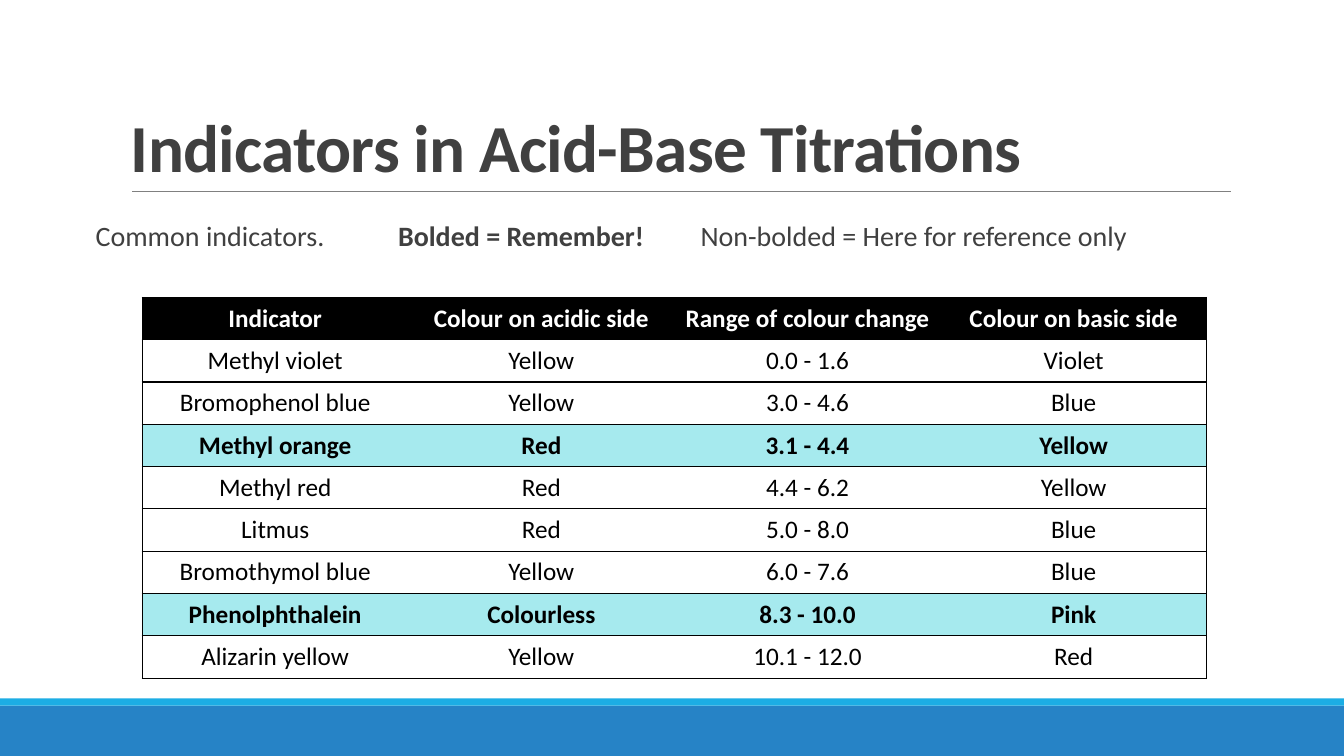
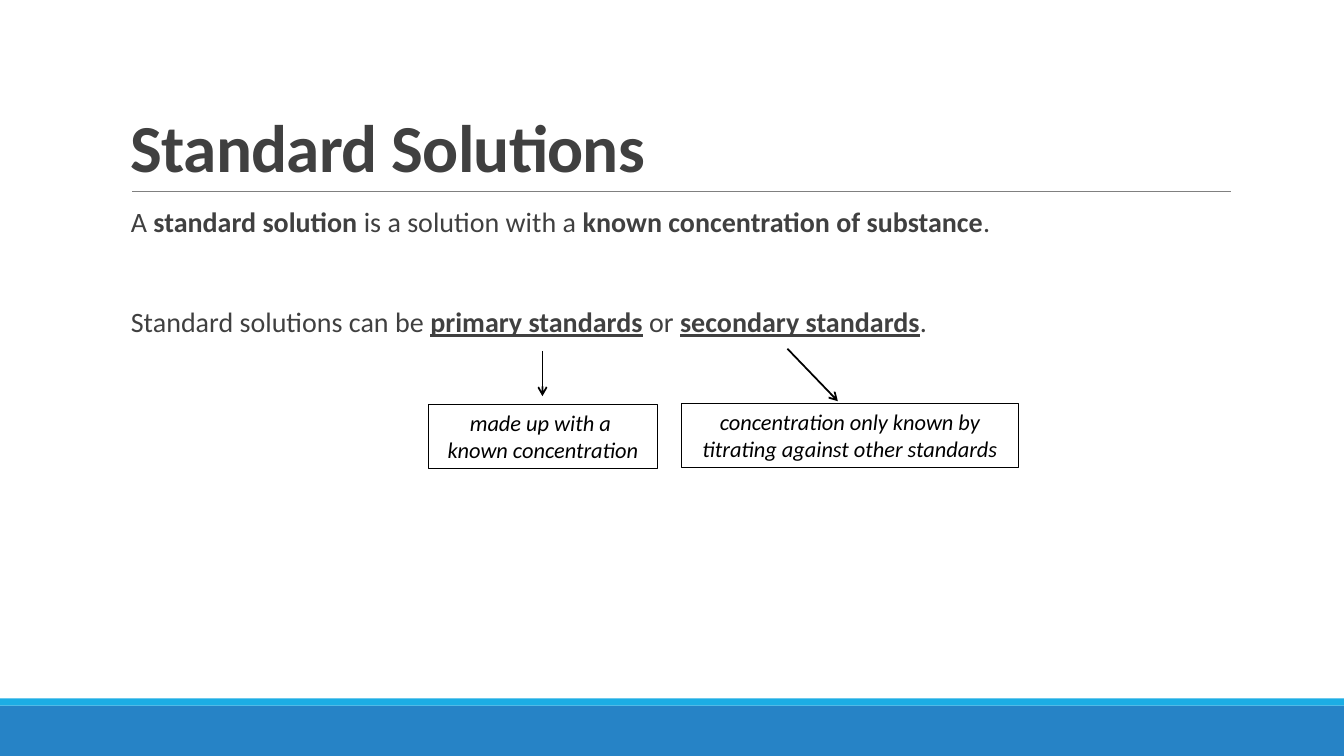
"""Builds two chemistry slides on indicators and standard solutions."""
from lxml import etree
from pptx import Presentation
from pptx.dml.color import RGBColor
from pptx.enum.shapes import MSO_CONNECTOR, MSO_SHAPE
from pptx.enum.text import MSO_ANCHOR, MSO_AUTO_SIZE, PP_ALIGN
from pptx.oxml.ns import qn
from pptx.util import Inches, Pt

RECT = MSO_SHAPE.RECTANGLE
LINE = MSO_CONNECTOR.STRAIGHT
LEFT, CENTER = PP_ALIGN.LEFT, PP_ALIGN.CENTER
TOP, MIDDLE, BOTTOM = MSO_ANCHOR.TOP, MSO_ANCHOR.MIDDLE, MSO_ANCHOR.BOTTOM
GROW = MSO_AUTO_SIZE.SHAPE_TO_FIT_TEXT

FONT = "Calibri"
COLORS = {
    "band": "2683C6",
    "strip": "1CADE4",
    "rule": "808080",
    "text": "404040",
    "black": "000000",
    "white": "FFFFFF",
    "key": "A6EAEE",
}


def rgb(name):
    return RGBColor.from_string(COLORS[name])


def write(par, text, size=20, color="text", bold=False, italic=False,
          under=False, align=LEFT, space=None, track=None):
    par.alignment = align
    if space:
        par.line_spacing = space
    for num, part in enumerate(text.split("\n")):
        if num:
            par.add_line_break()
        run = par.add_run()
        run.text = part
        font = run.font
        font.name, font.size = FONT, Pt(size)
        font.bold, font.italic = bold, italic
        if under:
            font.underline = True
        font.color.rgb = rgb(color)
        if track:
            font._element.set("spc", str(track))


class Deck:
    """Holds the style and the current slide."""

    def __init__(self):
        self.prs = Presentation()
        self.prs.slide_width = Inches(13.33)
        self.prs.slide_height = Inches(7.5)

    def page(self, title):
        self.slide = self.prs.slides.add_slide(self.prs.slide_layouts[6])
        self.rect(0, 7, 13.33, 0.5, fill="band")
        self.rect(0, 6.93, 13.33, 0.07, fill="strip")
        self.line(1.31, 1.9, 12.21, 1.9, "rule", 0.5)
        frame = self.text(1.2, 0.31, 11, 1.59, anchor=BOTTOM)
        write(frame.paragraphs[0], title, size=48, bold=True, space=0.85,
              track=-50)

    def rect(self, x, y, w, h, fill=None, line=None):
        box = self.slide.shapes.add_shape(
            RECT, Inches(x), Inches(y), Inches(w), Inches(h))
        box.shadow.inherit = False
        if fill:
            box.fill.solid()
            box.fill.fore_color.rgb = rgb(fill)
        else:
            box.fill.background()
        if line:
            box.line.color.rgb = rgb(line)
            box.line.width = Pt(0.75)
        else:
            box.line.fill.background()
        return box

    def line(self, x1, y1, x2, y2, color, width, arrow=False):
        link = self.slide.shapes.add_connector(
            LINE, Inches(x1), Inches(y1), Inches(x2), Inches(y2))
        link.line.color.rgb = rgb(color)
        link.line.width = Pt(width)
        props = link._element.spPr
        if arrow:
            etree.SubElement(props.find(qn("a:ln")), qn("a:tailEnd"),
                             type="arrow")
        etree.SubElement(props, qn("a:effectLst"))

    def text(self, x, y, w, h, anchor=TOP):
        box = self.slide.shapes.add_textbox(
            Inches(x), Inches(y), Inches(w), Inches(h))
        frame = box.text_frame
        frame.word_wrap = True
        frame.vertical_anchor = anchor
        return frame

    def body(self, x, y, pars, gap=0, tabs=()):
        frame = self.text(x, y, 11, 4.4)
        frame.margin_right = 0
        for num, runs in enumerate(pars):
            par = frame.add_paragraph() if num else frame.paragraphs[0]
            if num:
                par.space_before = Pt(gap)
            for text, style in runs:
                write(par, text, space=0.9, **style)
            if tabs:
                stops = etree.SubElement(
                    par._p.get_or_add_pPr(), qn("a:tabLst"))
                for pos in tabs:
                    etree.SubElement(stops, qn("a:tab"),
                                     pos=str(Inches(pos)), algn="l")

    def note(self, x, y, w, text):
        box = self.rect(x, y, w, 0.64, line="black")
        frame = box.text_frame
        frame.word_wrap = True
        frame.auto_size = GROW
        write(frame.paragraphs[0], text, size=16, color="black", italic=True,
              align=CENTER)

    def edge(self, cell, sides):
        props = cell._tc.get_or_add_tcPr()
        for num, side in enumerate("LRTB"):
            ln = etree.Element(qn("a:ln" + side), w=str(Pt(1)))
            if side in sides:
                fill = etree.SubElement(ln, qn("a:solidFill"))
                etree.SubElement(fill, qn("a:srgbClr"), val=COLORS["black"])
            else:
                etree.SubElement(ln, qn("a:noFill"))
            props.insert(num, ln)

    def table(self, x, y, wide, high, rows, keys):
        count = len(rows[0])
        grid = self.slide.shapes.add_table(
            len(rows), count, Inches(x), Inches(y),
            Inches(wide * count), Inches(high * len(rows))).table
        grid.horz_banding = False
        for col in grid.columns:
            col.width = Inches(wide)
        for r, row in enumerate(rows):
            grid.rows[r].height = Inches(high)
            head, key = r == 0, row[0] in keys
            fill = "black" if head else "key" if key else None
            for c, value in enumerate(row):
                cell = grid.cell(r, c)
                cell.vertical_anchor = MIDDLE
                write(cell.text_frame.paragraphs[0], value, size=18,
                      color="white" if head else "black",
                      bold=head or key, align=CENTER)
                self.edge(cell, "TB" + "L" * (c == 0)
                          + "R" * (c == count - 1))
                if fill:
                    cell.fill.solid()
                    cell.fill.fore_color.rgb = rgb(fill)
                else:
                    cell.fill.background()


PLAIN, BOLD = {}, {"bold": True}
TERM = {"bold": True, "under": True}
ROWS = [
    ("Indicator", "Colour on acidic side", "Range of colour change",
     "Colour on basic side"),
    ("Methyl violet", "Yellow", "0.0 - 1.6", "Violet"),
    ("Bromophenol blue", "Yellow", "3.0 - 4.6", "Blue"),
    ("Methyl orange", "Red", "3.1 - 4.4", "Yellow"),
    ("Methyl red", "Red", "4.4 - 6.2", "Yellow"),
    ("Litmus", "Red", "5.0 - 8.0", "Blue"),
    ("Bromothymol blue", "Yellow", "6.0 - 7.6", "Blue"),
    ("Phenolphthalein", "Colourless", "8.3 - 10.0", "Pink"),
    ("Alizarin yellow", "Yellow", "10.1 - 12.0", "Red"),
]

deck = Deck()

deck.page("Indicators in Acid-Base Titrations")
deck.body(0.85, 2.16, [[
    ("Common indicators.\t", PLAIN),
    ("Bolded = Remember!\t", BOLD),
    ("Non-bolded = Here for reference only", PLAIN),
]], tabs=(3, 6))
deck.table(1.41, 2.95, 2.64, 0.42, ROWS,
           ("Methyl orange", "Phenolphthalein"))

deck.page("Standard Solutions")
deck.body(1.2, 2.02, [
    [("A ", PLAIN), ("standard solution ", BOLD),
     ("is a solution with a ", PLAIN),
     ("known concentration of substance", BOLD), (".", PLAIN)],
    [("Standard solutions can be ", PLAIN), ("primary standards", TERM),
     (" or ", PLAIN), ("secondary standards", TERM), (".", PLAIN)],
], gap=50)
deck.line(5.38, 3.48, 5.38, 3.93, "black", 1.25, arrow=True)
deck.line(7.81, 3.46, 8.31, 3.98, "black", 1.25, arrow=True)
deck.note(4.25, 4.01, 2.27, "made up with a \nknown concentration")
deck.note(6.76, 4, 3.34,
          "concentration only known by titrating against other standards")

deck.prs.save("out.pptx")
